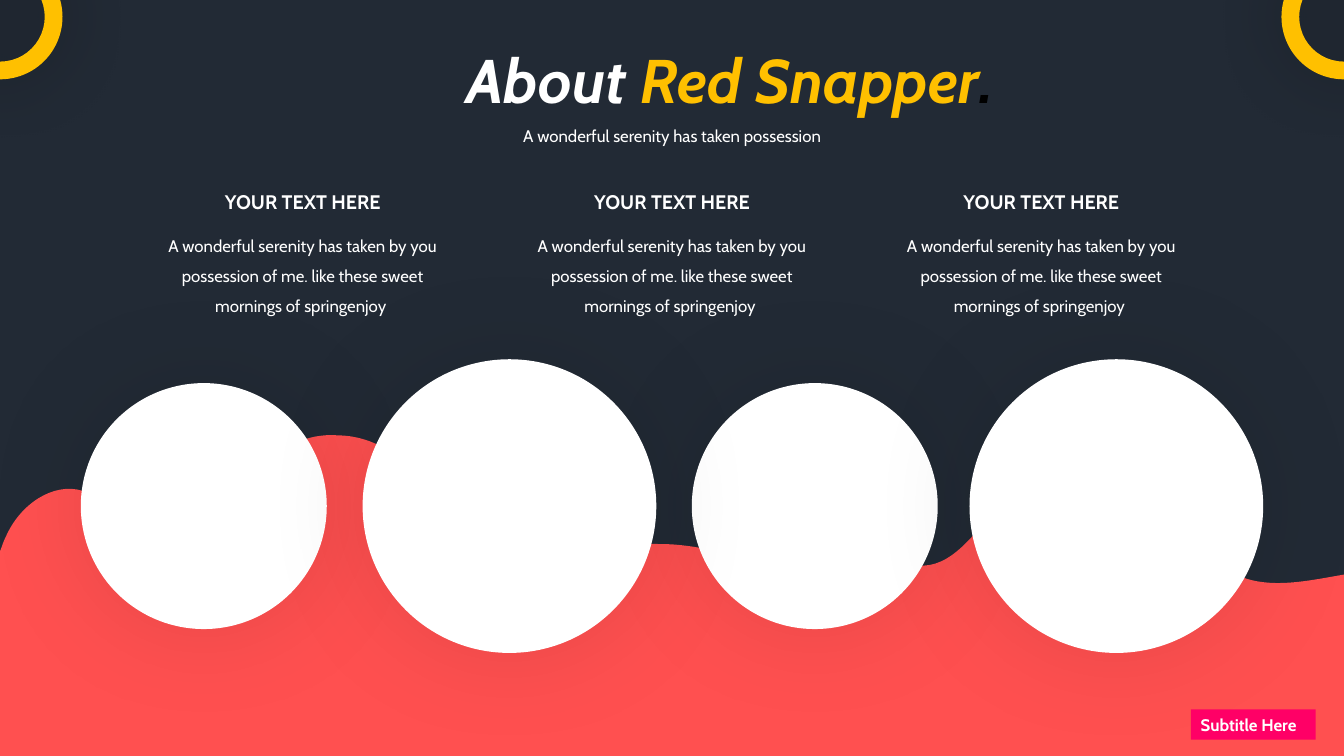
from lxml import etree
from pptx import Presentation
from pptx.dml.color import RGBColor
from pptx.enum import shapes, text
from pptx.oxml import ns, parse_xml
from pptx.util import Pt

NAVY = RGBColor(0x22, 0x2A, 0x35)
CORAL = RGBColor(0xFF, 0x50, 0x50)
WHITE = RGBColor(0xFF, 0xFF, 0xFF)
AMBER = RGBColor(0xFF, 0xC0, 0x00)
BLACK = RGBColor(0x00, 0x00, 0x00)
PINK = RGBColor(0xFF, 0x00, 0x66)
FONT = "Cabin"
WIDTH, HEIGHT = 960, 540

TITLE = [("About ", WHITE), ("Red Snapper", AMBER), (".", BLACK)]
TAGLINE = "A wonderful serenity has taken possession"
BODY = "A wonderful serenity has taken by you possession of me. like these sweet mornings of springenjoy "
COLUMNS = [("YOUR TEXT HERE", BODY)] * 3
BADGE = "Subtitle Here"

COLUMN_LEFT, COLUMN_PITCH, COLUMN_WIDTH = 106.1, 263.8, 220.3
CIRCLE_MIDDLE = 361.5
CIRCLES = [(145.6, 175.7), (582, 175.7), (363.9, 209.8), (797.4, 209.8)]
RING_SIZE, RING_TOP = 89.3, -32.6

WAVE_START = (0, 393.8)
WAVE_CURVES = [
    ((0.5, 392.6), (0.9, 391.4), (1.4, 390.2)),
    ((2.2, 387.4), (3.6, 384.5), (5, 381.6)),
    ((15.1, 360), (38.2, 344.2), (59, 350.6)),
    ((80.6, 357.1), (94.3, 383.8), (115.9, 385.2)),
    ((139, 387.4), (155.5, 362.9), (171.4, 344.9)),
    ((185.8, 328.3), (204.5, 316.1), (225.4, 311.8)),
    ((230.4, 311), (236.2, 310.3), (241.2, 311)),
    ((256.3, 311), (272.2, 316.8), (284.4, 326.9)),
    ((304.6, 344.9), (314.6, 374.4), (336.2, 388.1)),
    ((360.7, 403.9), (391, 396.7), (420, 391.7)),
]
LINK_CURVES = [
    ((439.2, 388.8), (460.1, 388.1), (479.5, 388.8)),
    ((499.7, 390.2), (521.3, 394.6), (537.8, 406.1)),
    ((538.6, 408.2), (539.3, 410.3), (540, 412.5)),
]
WAVE_SHIFT = (540, 18.7)


def paint(shape, color):
    shape.shadow.inherit = False
    shape.fill.solid()
    shape.fill.fore_color.rgb = color
    shape.line.fill.background()


def add_glow(shape, blur, opacity):
    effects = shape._element.spPr.find(ns.qn("a:effectLst"))
    effects.append(parse_xml(
        f'<a:outerShdw {ns.nsdecls("a")} blurRad="{Pt(blur)}" dist="0" dir="0" algn="ctr" rotWithShape="0">'
        f'<a:srgbClr val="{BLACK}"><a:alpha val="{opacity * 1000}"/></a:srgbClr></a:outerShdw>'))


def add_round(slide, kind, left, top, size, color, blur, opacity):
    shape = slide.shapes.add_shape(kind, Pt(left), Pt(top), Pt(size), Pt(size))
    paint(shape, color)
    add_glow(shape, blur, opacity)
    return shape


def write(shape, runs, size, align, bold=False, italic=False, spacing=None, wrap=True):
    frame = shape.text_frame
    frame.word_wrap = wrap
    frame.auto_size = text.MSO_AUTO_SIZE.SHAPE_TO_FIT_TEXT
    frame.vertical_anchor = text.MSO_ANCHOR.TOP
    paragraph = frame.paragraphs[0]
    paragraph.alignment = align
    if spacing:
        paragraph.line_spacing = spacing
    for words, color in runs:
        run = paragraph.add_run()
        run.text = words
        run.font.name = FONT
        run.font.size = Pt(size)
        run.font.bold = bold
        run.font.italic = italic
        run.font.color.rgb = color


def add_label(slide, box, words, size, **style):
    label = slide.shapes.add_textbox(*map(Pt, box))
    write(label, [(words, WHITE)], size, text.PP_ALIGN.CENTER, **style)


def bend_lines(shape, curve_count):
    lines = list(shape._element.iter(ns.qn("a:lnTo")))
    for first in range(0, curve_count * 3, 3):
        trio = lines[first:first + 3]
        curve = etree.Element(ns.qn("a:cubicBezTo"))
        trio[0].addprevious(curve)
        for line in trio:
            curve.append(line[0])
            line.getparent().remove(line)


def add_wave(slide):
    dx, dy = WAVE_SHIFT
    repeat = [[(x + dx, y + dy) for x, y in curve] for curve in WAVE_CURVES]
    curves = WAVE_CURVES + LINK_CURVES + repeat
    outline = [point for curve in curves for point in curve] + [(WIDTH, HEIGHT), (0, HEIGHT)]
    builder = slide.shapes.build_freeform(*map(Pt, WAVE_START))
    builder.add_line_segments([(Pt(x), Pt(y)) for x, y in outline], close=True)
    wave = builder.convert_to_shape()
    bend_lines(wave, len(curves))
    paint(wave, CORAL)


def main():
    presentation = Presentation()
    presentation.slide_width, presentation.slide_height = Pt(WIDTH), Pt(HEIGHT)
    slide = presentation.slides.add_slide(presentation.slide_layouts[5])
    slide.background.fill.solid()
    slide.background.fill.fore_color.rgb = NAVY

    add_wave(slide)
    for center, size in CIRCLES:
        add_round(slide, shapes.MSO_SHAPE.OVAL, center - size / 2, CIRCLE_MIDDLE - size / 2, size, WHITE, 77, 9)

    title = slide.shapes.title
    title.left, title.top, title.width, title.height = map(Pt, (242.6, 26.6, 474.5, 60.5))
    write(title, TITLE, 44, text.PP_ALIGN.RIGHT, bold=True, italic=True)
    add_label(slide, (321.1, 78.8, 318.2, 26.6), TAGLINE, 12, spacing=1.5)

    for index, (heading, body) in enumerate(COLUMNS):
        left = COLUMN_LEFT + index * COLUMN_PITCH
        add_label(slide, (left, 132.4, COLUMN_WIDTH, 24.5), heading, 14, bold=True)
        add_label(slide, (left, 157.3, COLUMN_WIDTH, 69.8), body, 12, spacing=1.5)

    badge = slide.shapes.add_shape(shapes.MSO_SHAPE.RECTANGLE, Pt(850.6), Pt(506.8), Pt(89.3), Pt(21.6))
    paint(badge, PINK)
    write(badge, [(BADGE, WHITE)], 12, text.PP_ALIGN.LEFT, bold=True, wrap=False)

    for center in (0, WIDTH):
        ring = add_round(slide, shapes.MSO_SHAPE.DONUT, center - RING_SIZE / 2, RING_TOP, RING_SIZE, AMBER, 49, 33)
        ring.adjustments[0] = 0.142

    presentation.save("out.pptx")


if __name__ == "__main__":
    main()
